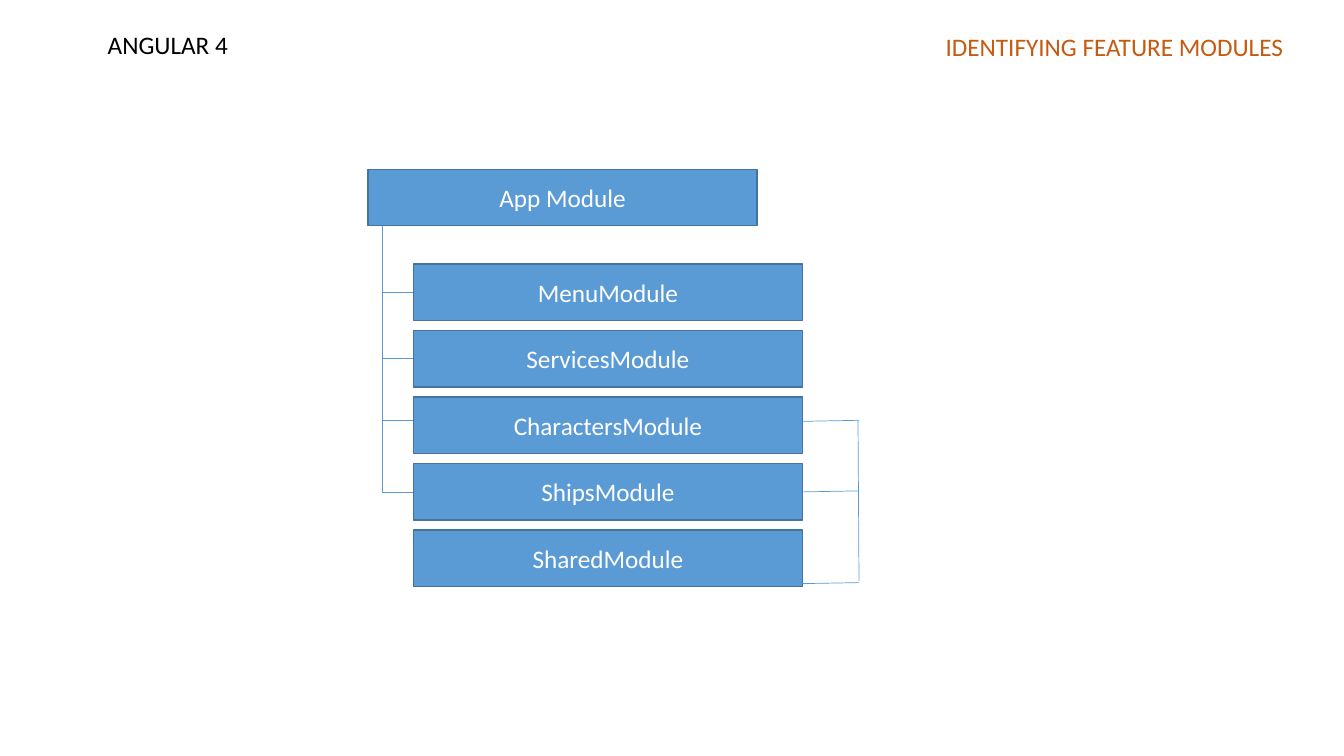
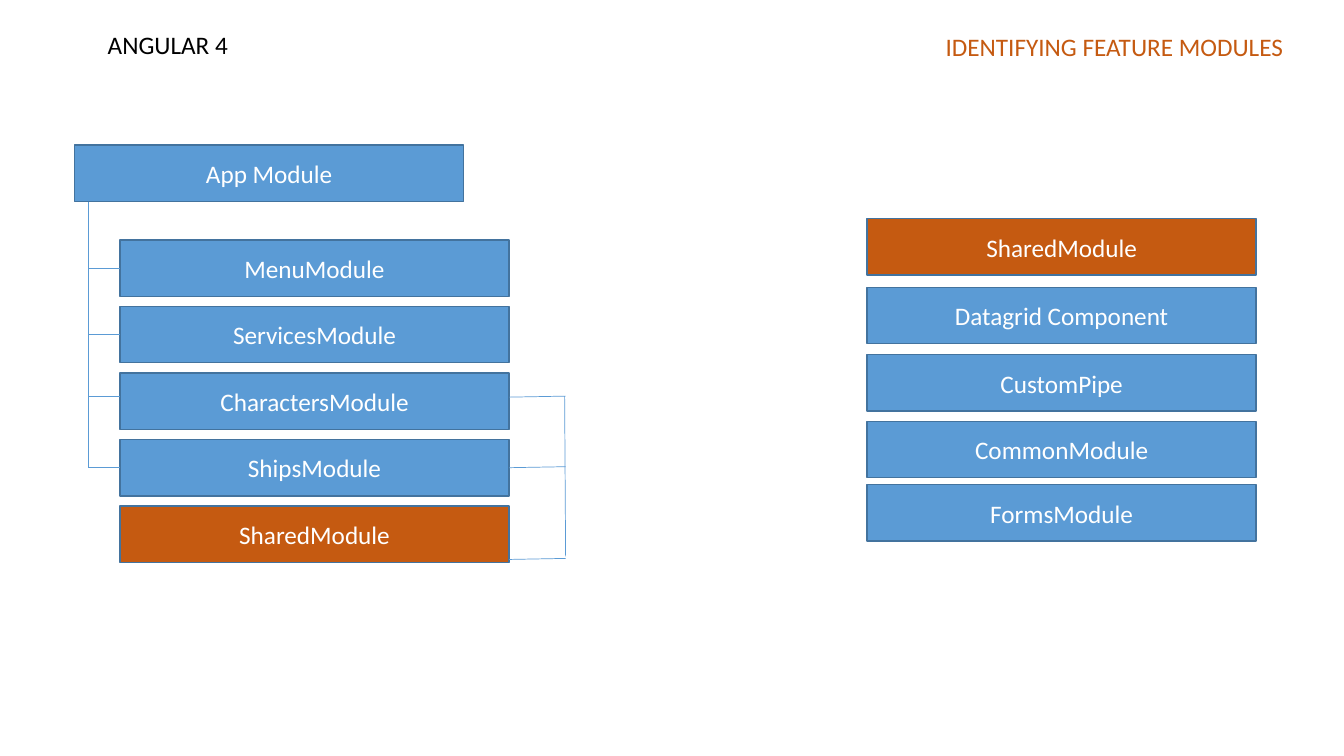
from dataclasses import dataclass

from pptx import Presentation
from pptx.dml.color import RGBColor as Rgb
from pptx.enum.shapes import MSO_CONNECTOR as Connector, MSO_SHAPE as Preset
from pptx.enum.text import MSO_ANCHOR as Anchor, MSO_AUTO_SIZE as AutoSize, PP_ALIGN as Align
from pptx.oxml.ns import qn
from pptx.util import Inches, Pt


@dataclass(frozen=True)
class Theme:
    black: Rgb = Rgb.from_string("000000")
    white: Rgb = Rgb.from_string("FFFFFF")
    blue: Rgb = Rgb.from_string("5B9BD5")
    blue_edge: Rgb = Rgb.from_string("43739E")
    orange: Rgb = Rgb.from_string("C55A11")
    font: str = "Calibri"
    text_size: float = 18
    edge_width: float = 1
    link_width: float = 0.5


THEME = Theme()
MODULE_W, MODULE_H = 3.86, 0.56
LEFT_SIDE, RIGHT_SIDE = 1, 3

# Child modules of the app, with the height of each branch above the box middle
CHILDREN = {"MenuModule": 0, "ServicesModule": 0, "CharactersModule": 0.05,
            "ShipsModule": 0, "SharedModule": None}
# Contents of the shared module, with the top of each box in the stack
SHARED_PARTS = {"SharedModule": 0, "Datagrid Component": 0.68, "CustomPipe": 1.35,
                "CommonModule": 2.01, "FormsModule": 2.64}


def apply(target, values):
    for attribute, value in values.items():
        setattr(target, attribute, value)


def write(frame, text, color, align, frame_format):
    apply(frame, frame_format)
    paragraph = frame.paragraphs[0]
    paragraph.alignment = align
    run = paragraph.add_run()
    run.text = text
    apply(run.font, {"name": THEME.font, "size": Pt(THEME.text_size)})
    run.font.color.rgb = color


def add_label(slide, left, top, width, text, color):
    label = slide.shapes.add_textbox(Inches(left), Inches(top), Inches(width), Inches(0.4))
    write(label.text_frame, text, color, Align.LEFT,
          {"word_wrap": False, "auto_size": AutoSize.SHAPE_TO_FIT_TEXT})


def add_module(slide, left, top, name, fill):
    module = slide.shapes.add_shape(Preset.RECTANGLE, Inches(left), Inches(top),
                                    Inches(MODULE_W), Inches(MODULE_H))
    module.shadow.inherit = False
    module.fill.solid()
    module.fill.fore_color.rgb = fill
    module.line.color.rgb = THEME.blue_edge
    module.line.width = Pt(THEME.edge_width)
    write(module.text_frame, name, THEME.white, Align.CENTER,
          {"word_wrap": True, "vertical_anchor": Anchor.MIDDLE})
    return module


def add_link(slide, start, end):
    link = slide.shapes.add_connector(Connector.STRAIGHT, *map(Inches, start + end))
    link.line.color.rgb = THEME.blue
    link.line.width = Pt(THEME.link_width)
    properties = link._element.spPr
    properties.append(properties.makeelement(qn("a:effectLst"), {}))
    return link


def add_header(slide):
    add_label(slide, 0.97, 0.24, 1.4, "ANGULAR 4", THEME.black)
    add_label(slide, 9.28, 0.26, 3.62, "IDENTIFYING FEATURE MODULES", THEME.orange)


def add_module_tree(slide, left, top, shared_fill):
    """App module with its children; all places are relative to left, top."""
    child_left, first_child, step = left + 0.45, top + 0.94, 0.66
    child_right = child_left + MODULE_W
    trunk_x, bus_x = left + 0.14, left + 4.87
    add_module(slide, left, top, "App Module", THEME.blue)

    # Children and their branches from the trunk
    modules = {}
    for row, (name, lift) in enumerate(CHILDREN.items()):
        child_top = first_child + row * step
        fill = shared_fill if name == "SharedModule" else THEME.blue
        modules[name] = add_module(slide, child_left, child_top, name, fill)
        if lift is None:
            continue
        branch_y = child_top + MODULE_H / 2 - lift
        branch = add_link(slide, (trunk_x, branch_y), (child_left, branch_y))
        if lift == 0:
            branch.end_connect(modules[name], LEFT_SIDE)
    add_link(slide, (trunk_x, top + MODULE_H), (trunk_x, branch_y))

    # Bracket from the feature modules to the shared module
    add_link(slide, (bus_x - 0.01, top + 2.49), (bus_x, top + 4.08))
    for name, link_y in {"CharactersModule": 2.5, "ShipsModule": 3.2,
                         "SharedModule": 4.11}.items():
        link = add_link(slide, (child_right, top + link_y), (bus_x, top + link_y - 0.01))
        if name == "ShipsModule":
            link.begin_connect(modules[name], RIGHT_SIDE)


def add_shared_stack(slide, left, top):
    for name, offset in SHARED_PARTS.items():
        fill = THEME.orange if name == "SharedModule" else THEME.blue
        add_module(slide, left, top + offset, name, fill)


def main():
    deck = Presentation()
    apply(deck, {"slide_width": Inches(13.33), "slide_height": Inches(7.5)})
    blank = deck.slide_layouts[6]

    # Slide 1: module tree
    overview = deck.slides.add_slide(blank)
    add_header(overview)
    add_module_tree(overview, 3.65, 1.68, THEME.blue)

    # Slide 2: module tree and contents of the shared module
    shared_detail = deck.slides.add_slide(blank)
    add_header(shared_detail)
    add_module_tree(shared_detail, 0.74, 1.44, THEME.orange)
    add_shared_stack(shared_detail, 8.6, 2.17)

    deck.save("out.pptx")


if __name__ == "__main__":
    main()
